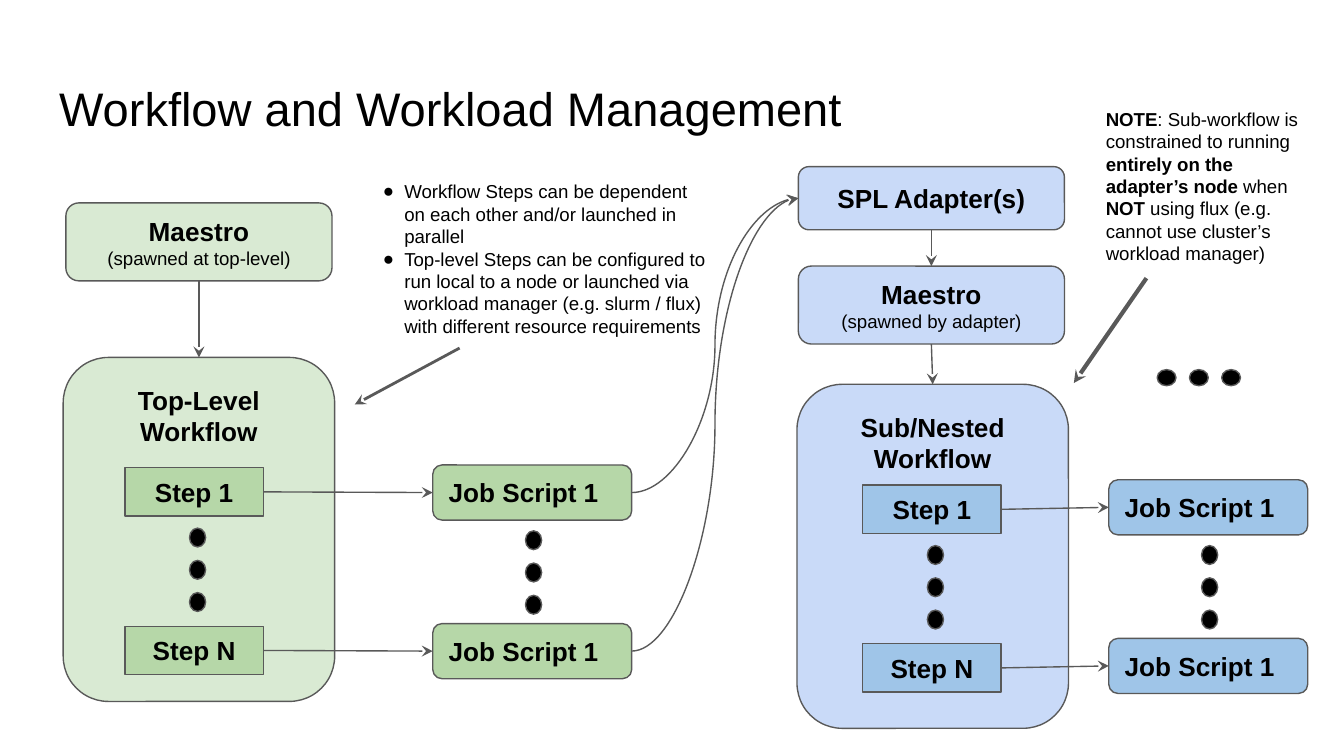
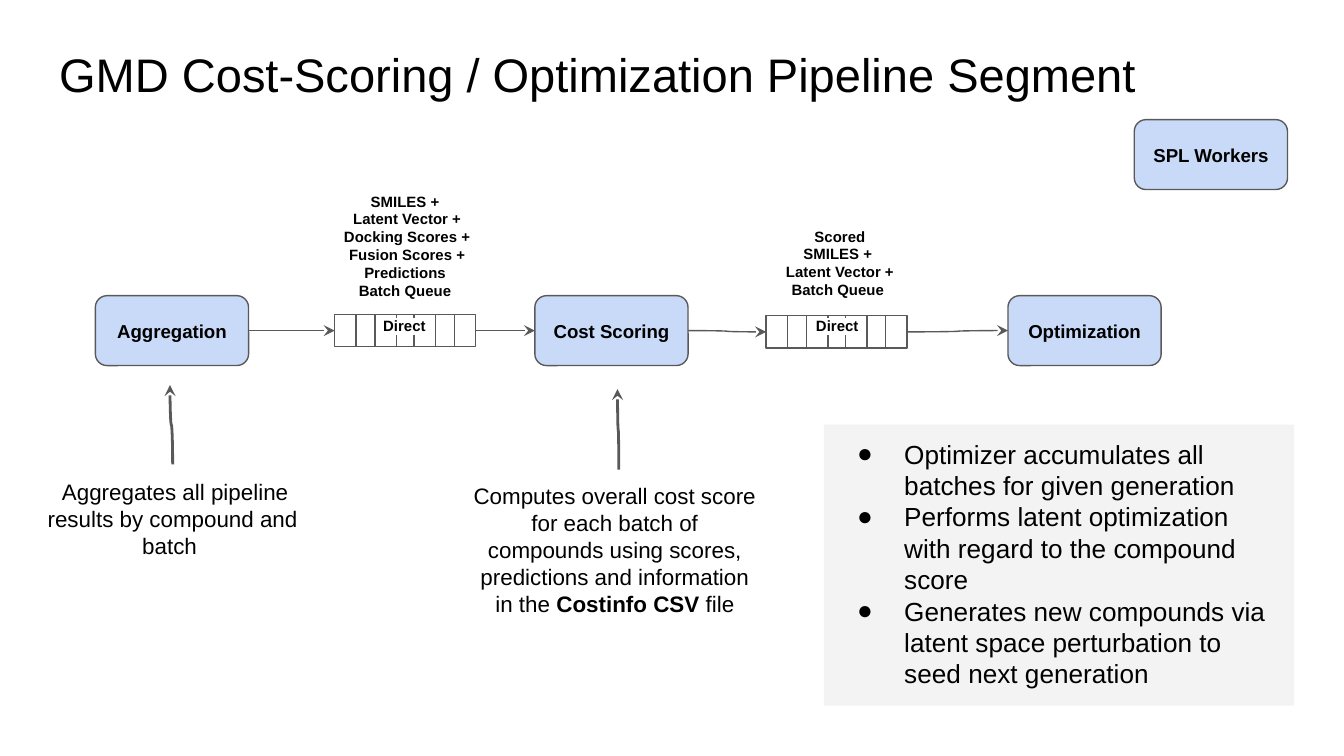
import lxml.etree
import pptx
import pptx.dml.color
import pptx.enum.shapes
import pptx.enum.text
import pptx.oxml.ns
import pptx.util

Inches = pptx.util.Inches
RGBColor = pptx.dml.color.RGBColor
SHAPE = pptx.enum.shapes.MSO_SHAPE
CONNECTOR = pptx.enum.shapes.MSO_CONNECTOR
ALIGN = pptx.enum.text.PP_ALIGN
ANCHOR = pptx.enum.text.MSO_ANCHOR
AUTO_SIZE = pptx.enum.text.MSO_AUTO_SIZE
qn = pptx.oxml.ns.qn

FONT = "Arial"
BLACK = RGBColor(0x00, 0x00, 0x00)
WHITE = RGBColor(0xFF, 0xFF, 0xFF)
GREY = RGBColor(0x59, 0x59, 0x59)
PALE_GREY = RGBColor(0xF3, 0xF3, 0xF3)
PALE_GREEN = RGBColor(0xD9, 0xEA, 0xD3)
GREEN = RGBColor(0xB6, 0xD7, 0xA8)
PALE_BLUE = RGBColor(0xC9, 0xDA, 0xF8)
BLUE = RGBColor(0x9F, 0xC5, 0xE8)
TITLE = "title"


def put(shapes, place, text="", form=None, fill=None, line=GREY, size=14, bold=False,
        caption_size=None, align=ALIGN.CENTER, anchor=ANCHOR.MIDDLE, bullet=None,
        highlight=None, grow=False):
    """Place a title, text box (form None) or shape; ** in the text toggles bold.

    caption_size formats every paragraph after the first, in regular weight.
    bullet gives the left margin and hanging indent in inches.
    """
    place = [Inches(length) for length in place]
    if form == TITLE:
        item = shapes.title
        item.left, item.top, item.width, item.height = place
    elif form is None:
        item = shapes.add_textbox(*place)
    else:
        item = shapes.add_shape(form, *place)
        item.shadow.inherit = False
        if fill is None:
            item.fill.background()
        else:
            item.fill.solid()
            item.fill.fore_color.rgb = fill
        if line is None:
            item.line.fill.background()
        else:
            item.line.color.rgb = line
            item.line.width = pptx.util.Pt(0.75)
    if not text:
        return item

    frame = item.text_frame
    frame.word_wrap = True
    frame.auto_size = AUTO_SIZE.SHAPE_TO_FIT_TEXT if grow or form is None else AUTO_SIZE.NONE
    frame.vertical_anchor = anchor
    frame.margin_left = frame.margin_right = frame.margin_top = frame.margin_bottom = Inches(0.1)
    for number, words in enumerate(text.split("\n")):
        paragraph = frame.add_paragraph() if number else frame.paragraphs[0]
        paragraph.alignment = align
        if bullet:
            margin, hanging = bullet
            properties = paragraph._p.get_or_add_pPr()
            properties.set("marL", str(Inches(margin)))
            properties.set("indent", str(-Inches(hanging)))
            lxml.etree.SubElement(properties, qn("a:buFont"), typeface=FONT)
            lxml.etree.SubElement(properties, qn("a:buChar"), char="●")
        is_caption = caption_size and number > 0
        for part, piece in enumerate(words.split("**")):
            if not piece:
                continue
            run = paragraph.add_run()
            run.text = piece
            run.font.name = FONT
            run.font.size = pptx.util.Pt(caption_size if is_caption else size)
            run.font.bold = False if is_caption else bold != (part % 2 == 1)
            run.font.color.rgb = BLACK
            if highlight is not None:
                mark = lxml.etree.Element(qn("a:highlight"))
                lxml.etree.SubElement(mark, qn("a:srgbClr"), val=str(highlight))
                run._r.rPr.find(qn("a:solidFill")).addnext(mark)
    return item


def add_arrow(slide, start, end, kind=CONNECTOR.STRAIGHT, width=0.75):
    """Draw an arrow; each end is a point in inches or a (shape, side) pair."""
    joined = [not isinstance(tip[0], (int, float)) for tip in (start, end)]
    points = [(0, 0) if join else tip for join, tip in zip(joined, (start, end))]
    arrow = slide.shapes.add_connector(kind, *[Inches(v) for point in points for v in point])
    if joined[0]:
        arrow.begin_connect(*start)
    if joined[1]:
        arrow.end_connect(*end)
    arrow.line.color.rgb = GREY
    arrow.line.width = pptx.util.Pt(width)
    properties = arrow._element.spPr
    lxml.etree.SubElement(properties.find(qn("a:ln")), qn("a:tailEnd"), type="stealth")
    lxml.etree.SubElement(properties, qn("a:effectLst"))
    return arrow


deck = pptx.Presentation()
deck.slide_width = Inches(10)
deck.slide_height = deck.slide_width * 9 // 16

slides = []
for heading, top in (
    ("Workflow and Workload Management", 0.49),
    ("GMD Cost-Scoring / Optimization Pipeline Segment", 0.24),
):
    slide = deck.slides.add_slide(deck.slide_layouts[5])
    put(slide.shapes, (0.34, top, 9.32, 0.63), heading, form=TITLE, size=25.2,
        align=ALIGN.LEFT, anchor=ANCHOR.TOP)
    slides.append(slide)
management, pipeline = slides

# Slide 1: top-level workflow on the left, nested workflow on the right
ROW_STEP = 1.18
DOT_STEP = 0.24
levels = []
for spawned, heading, pale, strong, maestro_at, workflow_at, step_at, job_at in (
    ("(spawned at top-level)", "Top-Level", PALE_GREEN, GREEN,
     (0.49, 1.51), (0.47, 2.66), (0.93, 3.48), (3.22, 3.46)),
    ("(spawned by adapter)", "Sub/Nested", PALE_BLUE, BLUE,
     (5.94, 1.98), (5.93, 2.86), (6.42, 3.61), (8.25, 3.57)),
):
    maestro = put(management.shapes, (*maestro_at, 1.98, 0.58), "Maestro\n" + spawned,
                  form=SHAPE.ROUNDED_RECTANGLE, fill=pale, bold=True, caption_size=10)
    workflow = put(management.shapes, (*workflow_at, 2.02, 2.56), heading + "\nWorkflow",
                   form=SHAPE.ROUNDED_RECTANGLE, fill=pale, bold=True, anchor=ANCHOR.TOP)
    add_arrow(management, (maestro, 2), (workflow, 0))

    jobs = []
    for row, step_name in enumerate(("Step 1", "Step N")):
        drop = row * ROW_STEP
        step = put(management.shapes, (step_at[0], step_at[1] + drop, 1.03, 0.36), step_name,
                   form=SHAPE.RECTANGLE, fill=strong, bold=True)
        job = put(management.shapes, (job_at[0], job_at[1] + drop, 1.48, 0.41), "Job Script 1",
                  form=SHAPE.ROUNDED_RECTANGLE, fill=strong, bold=True, align=ALIGN.LEFT)
        add_arrow(management, (step, 3), (job, 1))
        jobs.append(job)

    for left, top in ((step_at[0] + 0.48, step_at[1] + 0.45), (job_at[0] + 0.69, job_at[1] + 0.49)):
        dots = management.shapes.add_group_shape()
        for number in range(3):
            put(dots.shapes, (left, top + number * DOT_STEP, 0.12, 0.14),
                form=SHAPE.OVAL, fill=BLACK)
    levels.append((maestro, jobs))

(_, top_jobs), (nested_maestro, _) = levels
adapter = put(management.shapes, (5.94, 1.24, 1.98, 0.47), "SPL Adapter(s)",
              form=SHAPE.ROUNDED_RECTANGLE, fill=PALE_BLUE, bold=True)
add_arrow(management, (adapter, 2), (nested_maestro, 0))
for job in top_jobs:
    add_arrow(management, (job, 3), (adapter, 1), kind=CONNECTOR.CURVE)

more_workflows = management.shapes.add_group_shape()
for number in range(3):
    dot = put(more_workflows.shapes, (8.62 + number * DOT_STEP, 2.74, 0.12, 0.14),
              form=SHAPE.OVAL, fill=BLACK)
    dot.rotation = 90

put(management.shapes, (2.75, 1.24, 2.61, 1.38),
    "Workflow Steps can be dependent on each other and/or launched in parallel\n"
    "Top-level Steps can be configured to run local to a node or launched via workload "
    "manager (e.g. slurm / flux) with different resource requirements",
    size=10, align=ALIGN.LEFT, anchor=ANCHOR.TOP, bullet=(0.16, 0.19))
put(management.shapes, (8.13, 0.7, 1.74, 1.38),
    "**NOTE**: Sub-workflow is constrained to running **entirely on the adapter’s node** "
    "when **NOT** using flux (e.g. cannot use cluster’s workload manager)",
    size=10, align=ALIGN.LEFT, anchor=ANCHOR.TOP)
add_arrow(management, (8.53, 2.07), (7.99, 2.85), width=2.25)
add_arrow(management, (3.42, 2.59), (2.64, 3.01), width=1.5)

# Slide 2: stages joined by queues
stages = {}
for name, left, top in (
    ("Aggregation", 0.71, 2.2),
    ("Cost Scoring", 3.98, 2.2),
    ("Optimization", 7.5, 2.2),
    ("SPL Workers", 8.44, 0.89),
):
    stages[name] = put(pipeline.shapes, (left, top, 1.14, 0.52), name,
                       form=SHAPE.ROUNDED_RECTANGLE, fill=PALE_BLUE, size=10, bold=True)

for source, target, left, top, label_at, label_height, direct_left, contents in (
    ("Aggregation", "Cost Scoring", 2.49, 2.34, (2.35, 1.33), 1.01, 2.56,
     "SMILES + \nLatent Vector +\nDocking Scores +\nFusion Scores +\nPredictions \nBatch Queue "),
    ("Cost Scoring", "Optimization", 5.7, 2.35, (5.57, 1.59), 0.74, 5.78,
     "Scored\nSMILES + \nLatent Vector +\nBatch Queue "),
):
    queue = pipeline.shapes.add_group_shape()
    cells = [put(queue.shapes, (left + shift, top, 0.59, 0.24), form=SHAPE.RECTANGLE)
             for shift in (0, 0.16, 0.3, 0.46)]
    put(pipeline.shapes, (*label_at, 1.36, label_height), contents,
        size=8, bold=True, anchor=ANCHOR.TOP)
    put(pipeline.shapes, (direct_left, 2.29, 0.9, 0.34), "Direct", size=8, bold=True,
        anchor=ANCHOR.TOP, highlight=WHITE)
    add_arrow(pipeline, (stages[source], 3), (cells[0], 1), kind=CONNECTOR.CURVE)
    add_arrow(pipeline, (cells[-1], 3), (stages[target], 1), kind=CONNECTOR.CURVE)

for place, explanation, start, end in (
    ((0.24, 3.46, 2.09, 0.81), " Aggregates all pipeline results by compound and batch ",
     (1.57, 3.15), (0.98, 3.17)),
    ((3.42, 3.49, 2.31, 1.21),
     "Computes overall cost score for each batch of compounds using scores, predictions "
     "and information in the **Costinfo CSV** file",
     (4.9, 3.19), (4.3, 3.2)),
):
    put(pipeline.shapes, place, explanation, size=12, anchor=ANCHOR.TOP)
    pointer = add_arrow(pipeline, start, end, kind=CONNECTOR.CURVE, width=1.5)
    # A quarter turn makes the curve leave and arrive vertically
    pointer._element.spPr.find(qn("a:xfrm")).set("rot", str(90 * 60000))

put(pipeline.shapes, (6.13, 3.16, 3.5, 2.09),
    "Optimizer accumulates all batches for given generation\n"
    "Performs latent optimization with regard to the compound score\n"
    "Generates new compounds via latent space perturbation to seed next generation",
    form=SHAPE.RECTANGLE, fill=PALE_GREY, line=None, align=ALIGN.LEFT, anchor=ANCHOR.TOP,
    bullet=(0.5, 0.35), grow=True)

deck.save("out.pptx")
